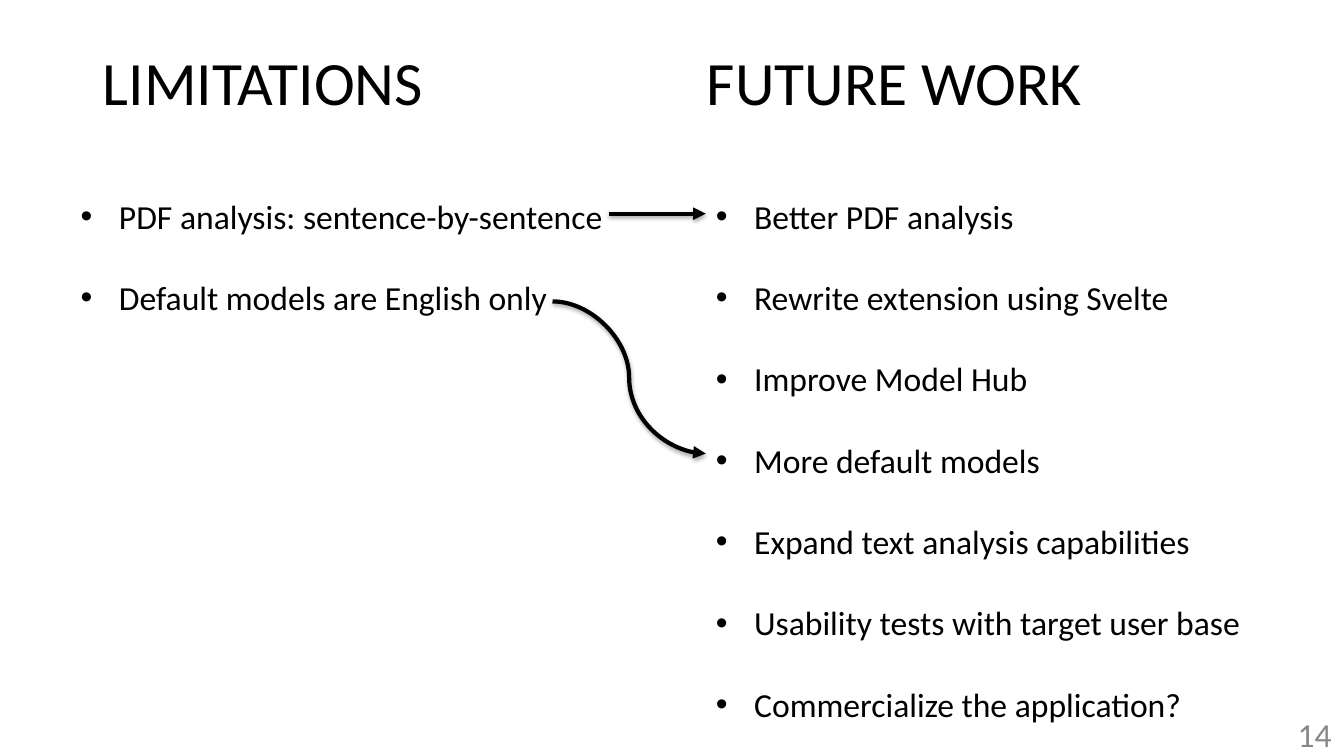
"""Build the slide that links limitations to future work."""
from dataclasses import dataclass

from lxml.etree import SubElement
from pptx import Presentation
from pptx.dml.color import RGBColor
from pptx.enum.shapes import MSO_CONNECTOR
from pptx.oxml.ns import qn
from pptx.slide import Slide
from pptx.util import Emu, Pt

EMU_PER_PX = 9144
FONT = "Calibri"
COLOURS = {"ink": "000000", "page_number": "888888", "background": "FFFFFF"}
BULLET_INDENT = 38
BULLET_GAP = Pt(29.3)


@dataclass(frozen=True)
class TextBlock:
    left: int
    top: int
    width: int
    height: int
    lines: tuple[str, ...]
    size: int = 24
    colour: str = "ink"
    bulleted: bool = False
    line_height: float | None = None


@dataclass(frozen=True)
class Arrow:
    kind: MSO_CONNECTOR
    start: tuple[int, int]
    end: tuple[int, int]


TEXT_BLOCKS = (
    TextBlock(1287, 715, 40, 35, ("14",), colour="page_number", line_height=23.8),
    TextBlock(102, 44, 565, 76, ("LIMITATIONS",), size=44),
    TextBlock(701, 44, 632, 76, ("FUTURE WORK",), size=44),
    TextBlock(80, 194, 542, 162, (
        "PDF analysis: sentence-by-sentence",
        "Default models are English only",
    ), bulleted=True),
    TextBlock(710, 194, 583, 525, (
        "Better PDF analysis",
        "Rewrite extension using Svelte",
        "Improve Model Hub",
        "More default models",
        "Expand text analysis capabilities",
        "Usability tests with target user base",
        "Commercialize the application?",
    ), bulleted=True),
)

ARROWS = (
    Arrow(MSO_CONNECTOR.STRAIGHT, (604, 212), (700, 212)),
    Arrow(MSO_CONNECTOR.CURVE, (548, 299), (700, 450)),
)


def px(length: int) -> Emu:
    """Turn px into EMU."""
    return Emu(length * EMU_PER_PX)


def colour(name: str) -> RGBColor:
    """Look up a named colour."""
    return RGBColor.from_string(COLOURS[name])


def add_bullet(paragraph) -> None:
    """Give a paragraph a hanging round bullet."""
    properties = paragraph._p.get_or_add_pPr()
    properties.set("marL", str(px(BULLET_INDENT)))
    properties.set("indent", str(px(-BULLET_INDENT)))
    SubElement(properties, qn("a:buFont"), typeface="Arial")
    SubElement(properties, qn("a:buChar"), char="•")


def add_text(page: Slide, block: TextBlock) -> None:
    """Draw one text block, a paragraph for each line."""
    box = page.shapes.add_textbox(
        px(block.left), px(block.top), px(block.width), px(block.height))
    frame = box.text_frame
    frame.word_wrap = True
    frame.margin_left = frame.margin_right = 0
    frame.margin_top = frame.margin_bottom = 0
    frame.text = "\n".join(block.lines)
    for paragraph in frame.paragraphs:
        paragraph.font.name = FONT
        paragraph.font.size = Pt(block.size)
        paragraph.font.color.rgb = colour(block.colour)
        if block.line_height:
            paragraph.line_spacing = Pt(block.line_height)
        if block.bulleted:
            paragraph.space_after = BULLET_GAP
            add_bullet(paragraph)


def add_arrow(page: Slide, arrow: Arrow) -> None:
    """Draw one arrow with a soft shadow below it."""
    connector = page.shapes.add_connector(
        arrow.kind, *map(px, arrow.start + arrow.end))
    connector.line.color.rgb = colour("ink")
    connector.line.width = Pt(3)
    SubElement(connector.line._get_or_add_ln(), qn("a:tailEnd"), type="triangle")
    effects = SubElement(connector._element.spPr, qn("a:effectLst"))
    shadow = SubElement(
        effects, qn("a:outerShdw"), blurRad=str(Pt(3.1)), dist=str(Pt(1.8)),
        dir="5400000", rotWithShape="0")
    tint = SubElement(shadow, qn("a:srgbClr"), val=COLOURS["ink"])
    SubElement(tint, qn("a:alpha"), val="35000")


def main() -> None:
    """Build and save the deck."""
    deck = Presentation()
    deck.slide_width, deck.slide_height = px(1333), px(750)
    page = deck.slides.add_slide(deck.slide_layouts[6])
    page.background.fill.solid()
    page.background.fill.fore_color.rgb = colour("background")
    for block in TEXT_BLOCKS:
        add_text(page, block)
    for arrow in ARROWS:
        add_arrow(page, arrow)
    deck.save("out.pptx")


if __name__ == "__main__":
    main()
